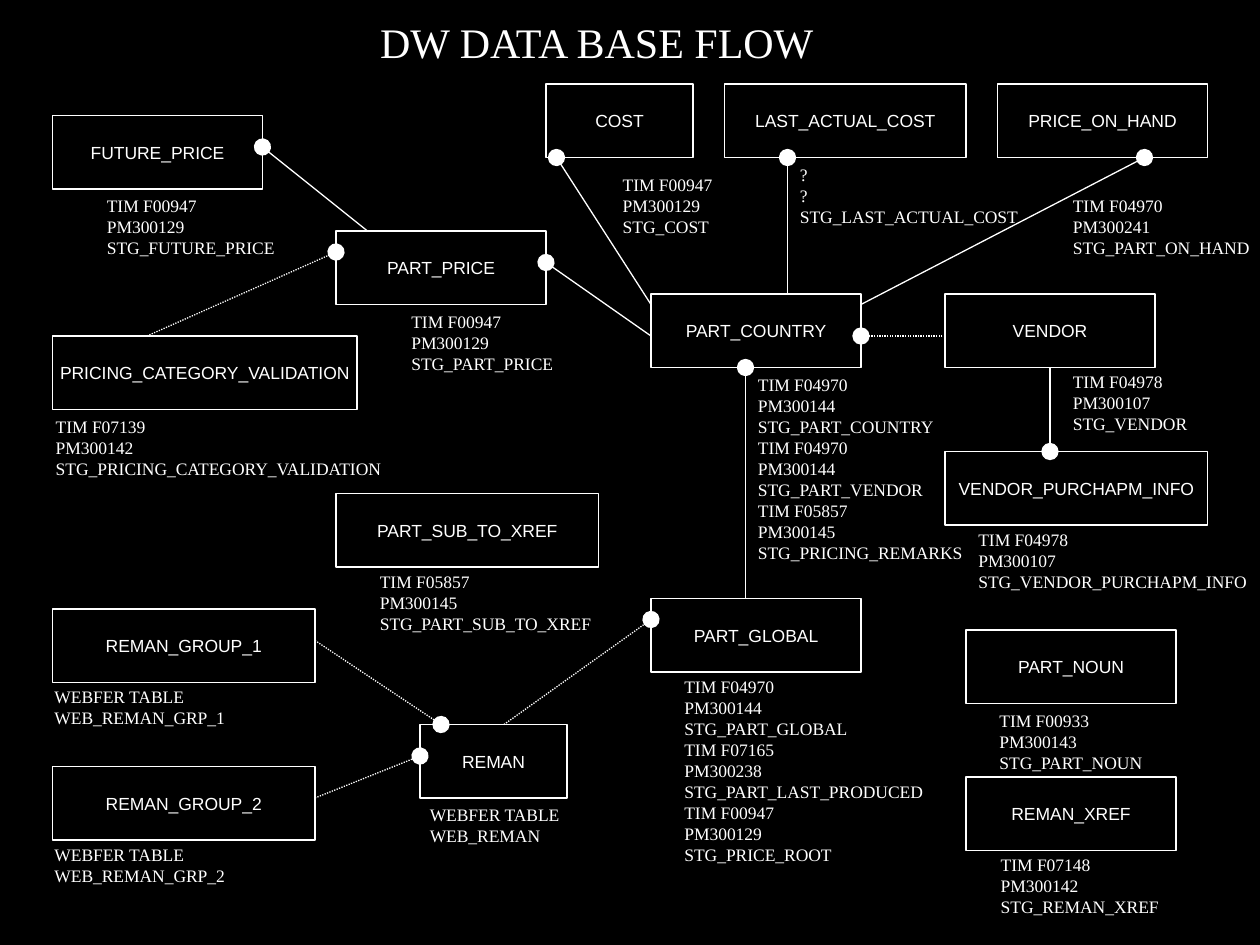
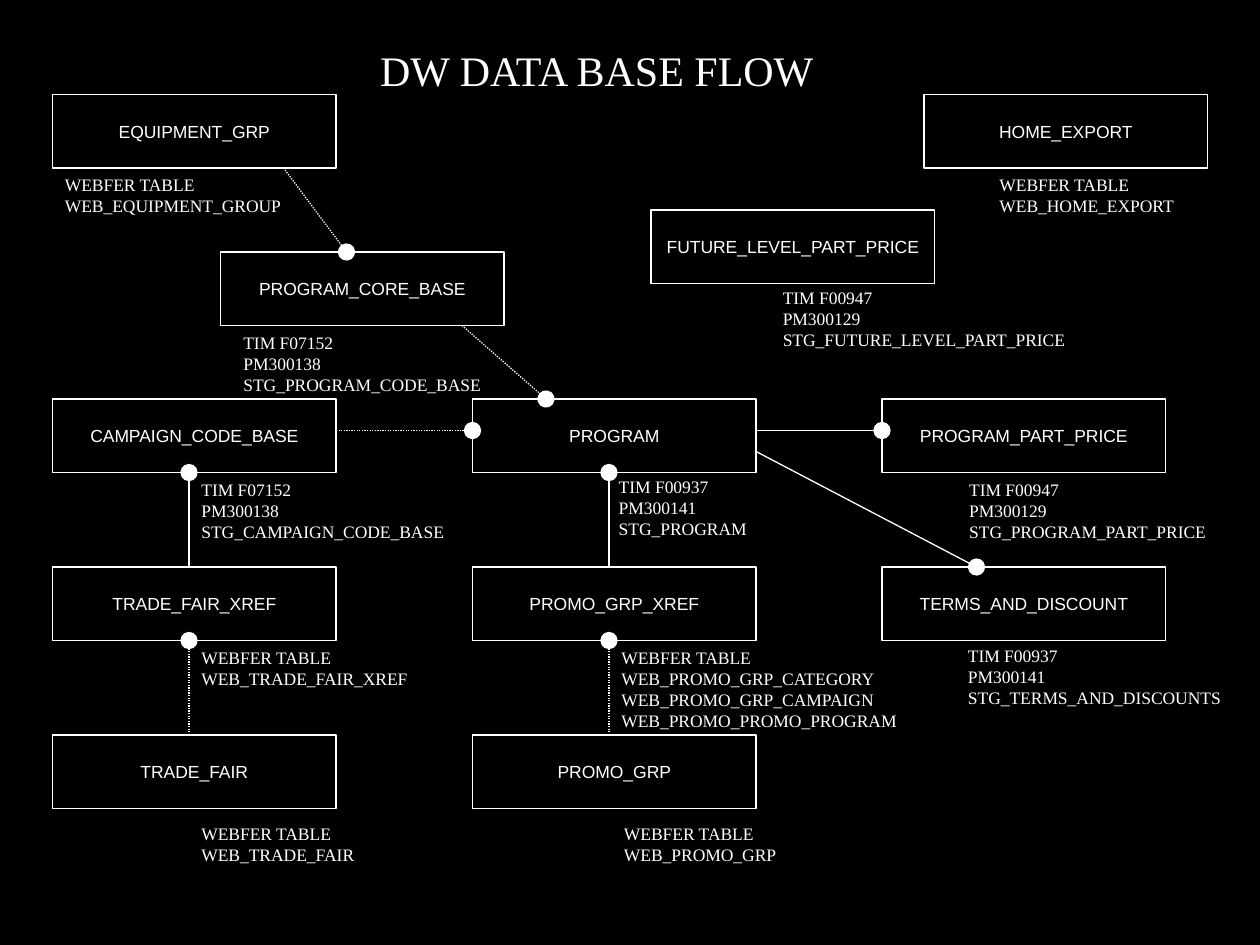
from dataclasses import dataclass
from typing import NamedTuple

from lxml.etree import SubElement
from pptx import Presentation
from pptx.dml.color import RGBColor
from pptx.enum.dml import MSO_LINE
from pptx.enum.shapes import MSO_CONNECTOR as CONN, MSO_SHAPE as SHAPE
from pptx.enum.text import MSO_ANCHOR as ANCHOR, MSO_AUTO_SIZE as AUTO, PP_ALIGN as ALIGN
from pptx.oxml.ns import qn
from pptx.util import Emu, Pt

PX = 9525  # EMU per px, 96 px to the inch
BOX_H = 56
TITLE = "DW DATA BASE FLOW"


@dataclass(frozen=True)
class Theme:
    back: RGBColor = RGBColor(0x00, 0x00, 0x00)
    ink: RGBColor = RGBColor(0xFF, 0xFF, 0xFF)
    serif: str = "Times New Roman"
    sans: str = "Arial"
    title_pt: int = 24
    body_pt: int = 10
    line_pt: float = 0.75


THEME = Theme()


class Box(NamedTuple):
    x: int
    y: int
    w: int


class Table(NamedTuple):
    """A named table box and the source note beside it."""
    name: str
    box: Box
    note: Box
    sources: tuple[str, ...]


class Link(NamedTuple):
    """A relation line; the dot sits on the second point."""
    x1: int
    y1: int
    x2: int
    y2: int
    dotted: bool = False


class Diagram(NamedTuple):
    title_y: int
    tables: list[Table]
    links: list[Link]


PARTS = Diagram(8, [
    Table("FUTURE_PRICE", Box(40, 88, 160), Box(72, 144, 149),
          ("TIM F00947", "PM300129", "STG_FUTURE_PRICE")),
    Table("PRICING_CATEGORY_VALIDATION", Box(40, 256, 232), Box(33, 312, 276),
          ("TIM F07139", "PM300142", "STG_PRICING_CATEGORY_VALIDATION")),
    Table("PART_PRICE", Box(256, 176, 160), Box(304, 232, 131),
          ("TIM F00947", "PM300129", "STG_PART_PRICE")),
    Table("COST", Box(416, 64, 112), Box(465, 128, 88),
          ("TIM F00947", "PM300129", "STG_COST")),
    Table("LAST_ACTUAL_COST", Box(552, 64, 184), Box(600, 120, 187),
          ("?", "?", "STG_LAST_ACTUAL_COST")),
    Table("PRICE_ON_HAND", Box(760, 64, 160), Box(808, 144, 157),
          ("TIM F04970", "PM300241", "STG_PART_ON_HAND")),
    Table("PART_COUNTRY", Box(496, 224, 160), Box(568, 280, 177),
          ("TIM F04970", "PM300144", "STG_PART_COUNTRY",
           "TIM F04970", "PM300144", "STG_PART_VENDOR",
           "TIM F05857", "PM300145", "STG_PRICING_REMARKS")),
    Table("VENDOR", Box(720, 224, 160), Box(808, 278, 108),
          ("TIM F04978", "PM300107", "STG_VENDOR")),
    Table("VENDOR_PURCHAPM_INFO", Box(720, 344, 200), Box(736, 398, 227),
          ("TIM F04978", "PM300107", "STG_VENDOR_PURCHAPM_INFO")),
    Table("PART_SUB_TO_XREF", Box(256, 376, 200), Box(280, 430, 184),
          ("TIM F05857", "PM300145", "STG_PART_SUB_TO_XREF")),
    Table("PART_GLOBAL", Box(496, 456, 160), Box(512, 510, 205),
          ("TIM F04970", "PM300144", "STG_PART_GLOBAL",
           "TIM F07165", "PM300238", "STG_PART_LAST_PRODUCED",
           "TIM F00947", "PM300129", "STG_PRICE_ROOT")),
    Table("REMAN", Box(320, 552, 112), Box(318, 608, 121),
          ("WEBFER TABLE", "WEB_REMAN")),
    Table("REMAN_GROUP_1", Box(40, 464, 200), Box(32, 518, 151),
          ("WEBFER TABLE", "WEB_REMAN_GRP_1")),
    Table("REMAN_GROUP_2", Box(40, 584, 200), Box(32, 638, 151),
          ("WEBFER TABLE", "WEB_REMAN_GRP_2")),
    Table("PART_NOUN", Box(736, 480, 160), Box(752, 536, 132),
          ("TIM F00933", "PM300143", "STG_PART_NOUN")),
    Table("REMAN_XREF", Box(736, 592, 160), Box(753, 646, 141),
          ("TIM F07148", "PM300142", "STG_REMAN_XREF")),
], [
    Link(280, 176, 200, 112),
    Link(496, 256, 416, 200),
    Link(496, 232, 424, 120),
    Link(720, 256, 656, 256, dotted=True),
    Link(112, 256, 256, 192, dotted=True),
    Link(568, 456, 568, 280),
    Link(800, 280, 800, 344),
    Link(384, 552, 496, 472, dotted=True),
    Link(600, 224, 600, 120),
    Link(656, 232, 872, 120),
    Link(240, 488, 336, 552, dotted=True),
    Link(240, 608, 320, 576, dotted=True),
])

WIDE = 216
LEFT, MIDDLE, RIGHT = 40, 360, 672  # columns of the program grid
ROW_1, ROW_2, ROW_3 = (304 + 128 * i for i in range(3))

PROGRAMS = Diagram(29, [
    Table("EQUIPMENT_GRP", Box(LEFT, 72, WIDE), Box(40, 128, 186),
          ("WEBFER TABLE", "WEB_EQUIPMENT_GROUP")),
    Table("PROGRAM_CORE_BASE", Box(168, 192, WIDE), Box(176, 248, 206),
          ("TIM F07152", "PM300138", "STG_PROGRAM_CODE_BASE")),
    Table("HOME_EXPORT", Box(704, 72, WIDE), Box(752, 128, 155),
          ("WEBFER TABLE", "WEB_HOME_EXPORT")),
    Table("FUTURE_LEVEL_PART_PRICE", Box(496, 160, WIDE), Box(587, 214, 239),
          ("TIM F00947", "PM300129", "STG_FUTURE_LEVEL_PART_PRICE")),
    Table("CAMPAIGN_CODE_BASE", Box(LEFT, ROW_1, WIDE), Box(144, 360, 211),
          ("TIM F07152", "PM300138", "STG_CAMPAIGN_CODE_BASE")),
    Table("TRADE_FAIR_XREF", Box(LEFT, ROW_2, WIDE), Box(144, 488, 180),
          ("WEBFER TABLE", "WEB_TRADE_FAIR_XREF")),
    Table("TRADE_FAIR", Box(LEFT, ROW_3, WIDE), Box(144, 622, 138),
          ("WEBFER TABLE", "WEB_TRADE_FAIR")),
    Table("PROGRAM", Box(MIDDLE, ROW_1, WIDE), Box(462, 358, 118),
          ("TIM F00937", "PM300141", "STG_PROGRAM")),
    Table("PROMO_GRP_XREF", Box(MIDDLE, ROW_2, WIDE), Box(464, 488, 231),
          ("WEBFER TABLE", "WEB_PROMO_GRP_CATEGORY",
           "WEB_PROMO_GRP_CAMPAIGN", "WEB_PROMO_PROMO_PROGRAM")),
    Table("PROMO_GRP", Box(MIDDLE, ROW_3, WIDE), Box(466, 622, 136),
          ("WEBFER TABLE", "WEB_PROMO_GRP")),
    Table("PROGRAM_PART_PRICE", Box(RIGHT, ROW_1, WIDE), Box(729, 360, 204),
          ("TIM F00947", "PM300129", "STG_PROGRAM_PART_PRICE")),
    Table("TERMS_AND_DISCOUNT", Box(RIGHT, ROW_2, WIDE), Box(728, 487, 215),
          ("TIM F00937", "PM300141", "STG_TERMS_AND_DISCOUNTS")),
], [
    Link(216, 128, 264, 192, dotted=True),
    Link(352, 248, 416, 304, dotted=True),
    Link(576, 328, 672, 328),
    Link(576, 344, 744, 432),
    Link(464, 432, 464, 360),
    Link(256, 328, 360, 328, dotted=True),
    Link(144, 432, 144, 360),
    Link(144, 560, 144, 488, dotted=True),
    Link(464, 560, 464, 488, dotted=True),
])


def px(*values: int) -> list[Emu]:
    return [Emu(v * PX) for v in values]


def write(tf, lines: tuple[str, ...], font: str, size: int, align=ALIGN.LEFT) -> None:
    """Fill a text frame, one paragraph per line."""
    tf.word_wrap = False
    for i, line in enumerate(lines):
        p = tf.add_paragraph() if i else tf.paragraphs[0]
        p.alignment = align
        r = p.add_run()
        r.text = line
        r.font.name = font
        r.font.size = Pt(size)
        r.font.color.rgb = THEME.ink


def set_line(line) -> None:
    line.color.rgb = THEME.ink
    line.width = Pt(THEME.line_pt)


def add_title(s, y: int) -> None:
    sp = s.shapes.title
    sp.left, sp.top, sp.width, sp.height = px(280, y, 362, 49)
    tf = sp.text_frame
    tf.vertical_anchor = ANCHOR.TOP
    write(tf, (TITLE,), THEME.serif, THEME.title_pt)
    tf.auto_size = AUTO.SHAPE_TO_FIT_TEXT


def add_box(s, name: str, box: Box):
    sp = s.shapes.add_shape(SHAPE.RECTANGLE, *px(box.x, box.y, box.w, BOX_H))
    sp.shadow.inherit = False
    sp.fill.background()
    set_line(sp.line)
    sp.text_frame.vertical_anchor = ANCHOR.MIDDLE
    write(sp.text_frame, (name,), THEME.sans, THEME.body_pt, ALIGN.CENTER)
    return sp


def add_note(s, note: Box, sources: tuple[str, ...]) -> None:
    height = 10 + 16 * len(sources)
    tf = s.shapes.add_textbox(*px(note.x, note.y, note.w, height)).text_frame
    write(tf, sources, THEME.serif, THEME.body_pt)
    tf.auto_size = AUTO.SHAPE_TO_FIT_TEXT


def side_middles(box: Box) -> list[tuple[int, int]]:
    """Middles of the sides, in connection site order."""
    x, y, w = box
    return [(x + w // 2, y), (x, y + BOX_H // 2),
            (x + w // 2, y + BOX_H), (x + w, y + BOX_H // 2)]


def add_link(s, link: Link, sites: dict) -> None:
    c = s.shapes.add_connector(CONN.STRAIGHT, *px(*link[:4]))
    set_line(c.line)
    if link.dotted:
        c.line.dash_style = MSO_LINE.ROUND_DOT
    # Dot at the end, and no shadow
    ln = c.line._get_or_add_ln()
    SubElement(ln, qn("a:tailEnd"), type="oval", w="lg", len="lg")
    SubElement(c._element.spPr, qn("a:effectLst"))
    # Join ends that meet the middle of a box side
    for point, join in ((link[:2], c.begin_connect), (link[2:4], c.end_connect)):
        if point in sites:
            join(*sites[point])


def add_diagram(prs, diagram: Diagram) -> None:
    s = prs.slides.add_slide(prs.slide_layouts[5])
    add_title(s, diagram.title_y)
    sites = {}
    for table in diagram.tables:
        sp = add_box(s, table.name, table.box)
        for i, point in enumerate(side_middles(table.box)):
            sites[point] = (sp, i)
    for link in diagram.links:
        add_link(s, link, sites)
    for table in diagram.tables:
        add_note(s, table.note, table.sources)


def main() -> None:
    prs = Presentation()
    prs.slide_width, prs.slide_height = px(960, 720)
    # Shared black background
    fill = prs.slide_master.background.fill
    fill.solid()
    fill.fore_color.rgb = THEME.back
    for diagram in (PARTS, PROGRAMS):
        add_diagram(prs, diagram)
    prs.save("out.pptx")


if __name__ == "__main__":
    main()
